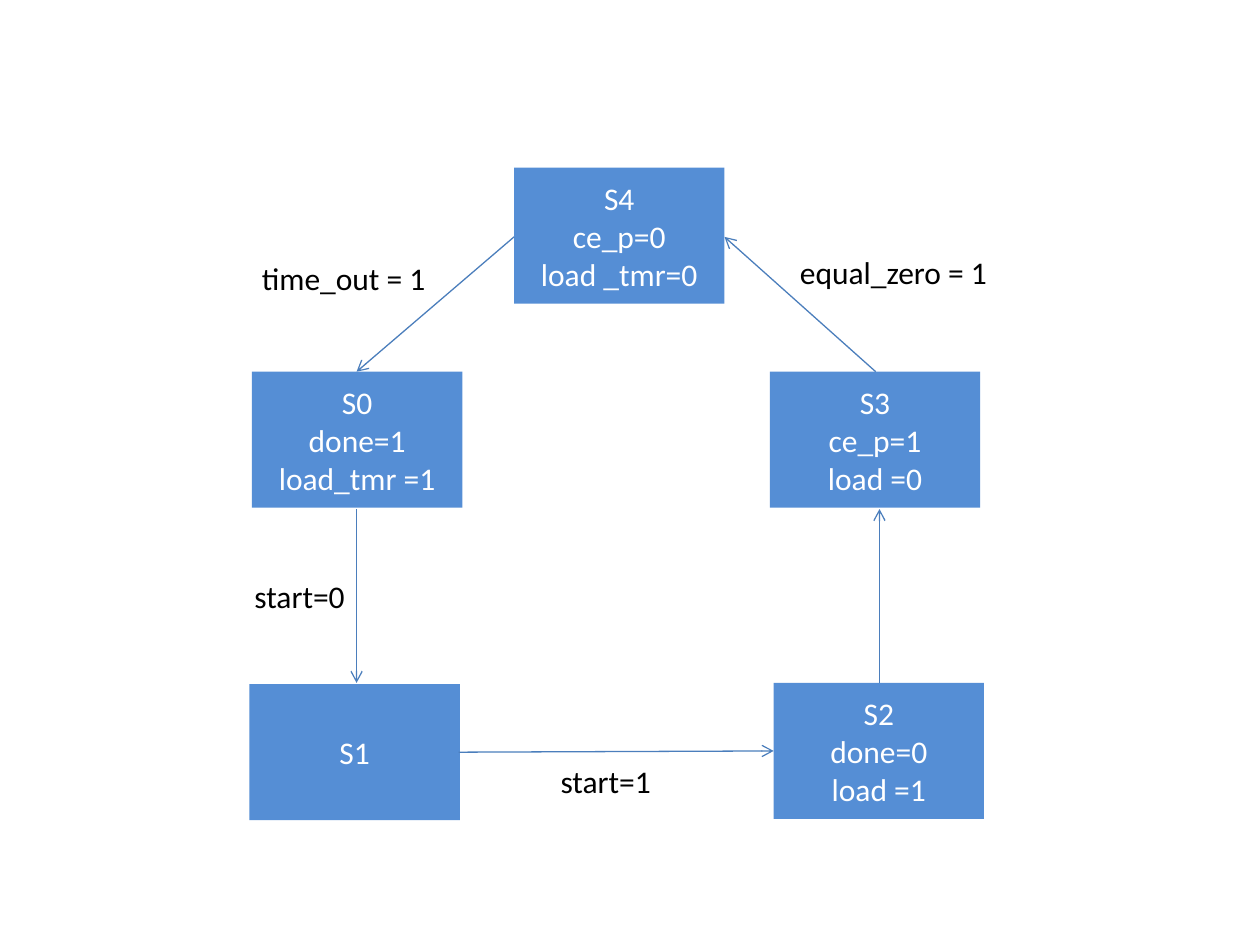
from dataclasses import dataclass

from lxml import etree
from pptx import Presentation
from pptx.dml.color import RGBColor
from pptx.enum.shapes import MSO_CONNECTOR, MSO_SHAPE
from pptx.enum.text import MSO_ANCHOR, MSO_AUTO_SIZE, PP_ALIGN
from pptx.oxml.ns import qn
from pptx.slide import Slide
from pptx.text.text import TextFrame
from pptx.util import Inches, Pt

RECTANGLE = MSO_SHAPE.RECTANGLE
STRAIGHT = MSO_CONNECTOR.STRAIGHT
MIDDLE = MSO_ANCHOR.MIDDLE
FIT_SHAPE = MSO_AUTO_SIZE.SHAPE_TO_FIT_TEXT
CENTER = PP_ALIGN.CENTER
LEFT = PP_ALIGN.LEFT

COLORS = {"state": "558ED5", "arrow": "4B7EBC", "state_text": "FFFFFF", "label": "000000"}
FONT_NAME = "Calibri"
FONT_SIZE = Pt(18)
STATE_WIDTH, STATE_HEIGHT = 1.67, 1.08
LABEL_HEIGHT = 0.4


@dataclass(frozen=True)
class State:
    left: float
    top: float
    lines: tuple[str, ...]


@dataclass(frozen=True)
class Transition:
    start: tuple[float, float]
    end: tuple[float, float]


@dataclass(frozen=True)
class Label:
    left: float
    top: float
    width: float
    text: str


STATES = (
    State(2, 2.95, ("S0", "done=1", "load_tmr =1")),
    State(1.98, 5.43, ("S1",)),
    State(6.14, 5.42, ("S2", "done=0", "load =1")),
    State(6.11, 2.95, ("S3", "ce_p=1", "load =0")),
    State(4.08, 1.33, ("S4", "ce_p=0", "load _tmr=0")),
)
TRANSITIONS = (
    Transition((2.83, 4.04), (2.83, 5.42)),
    Transition((3.64, 5.97), (6.14, 5.96)),
    Transition((6.98, 5.42), (6.98, 4.04)),
    Transition((6.95, 2.95), (5.75, 1.88)),
    Transition((4.08, 1.88), (2.83, 2.95)),
)
LABELS = (
    Label(1.92, 4.53, 1.08, "start=0"),
    Label(4.35, 6, 1.08, "start=1"),
    Label(6.25, 1.96, 1.82, "equal_zero = 1"),
    Label(1.98, 2.01, 1.82, "time_out = 1"),
)


def color(name: str) -> RGBColor:
    return RGBColor.from_string(COLORS[name])


def write_lines(frame: TextFrame, lines: tuple[str, ...], color_name: str, alignment: PP_ALIGN) -> None:
    frame.word_wrap = True
    frame.text = "\n".join(lines)
    for para in frame.paragraphs:
        para.alignment = alignment
        para.font.name = FONT_NAME
        para.font.size = FONT_SIZE
        para.font.color.rgb = color(color_name)


def draw_state(page: Slide, state: State) -> None:
    box = page.shapes.add_shape(
        RECTANGLE, Inches(state.left), Inches(state.top), Inches(STATE_WIDTH), Inches(STATE_HEIGHT)
    )
    box.shadow.inherit = False
    box.fill.solid()
    box.fill.fore_color.rgb = color("state")
    box.line.fill.background()
    box.text_frame.vertical_anchor = MIDDLE
    write_lines(box.text_frame, state.lines, "state_text", CENTER)


def draw_transition(page: Slide, transition: Transition) -> None:
    points = (Inches(value) for value in transition.start + transition.end)
    arrow = page.shapes.add_connector(STRAIGHT, *points)
    arrow.line.color.rgb = color("arrow")
    arrow.line.width = Pt(0.75)
    etree.SubElement(arrow.line._get_or_add_ln(), qn("a:tailEnd"), type="arrow")
    etree.SubElement(arrow._element.spPr, qn("a:effectLst"))


def draw_label(page: Slide, label: Label) -> None:
    box = page.shapes.add_textbox(
        Inches(label.left), Inches(label.top), Inches(label.width), Inches(LABEL_HEIGHT)
    )
    write_lines(box.text_frame, (label.text,), "label", LEFT)
    box.text_frame.auto_size = FIT_SHAPE


def main() -> None:
    deck = Presentation()
    deck.slide_width = Inches(10)
    deck.slide_height = Inches(7.5)
    page = deck.slides.add_slide(deck.slide_layouts[6])
    for state in STATES:
        draw_state(page, state)
    for transition in TRANSITIONS:
        draw_transition(page, transition)
    for label in LABELS:
        draw_label(page, label)
    deck.save("out.pptx")


if __name__ == "__main__":
    main()
